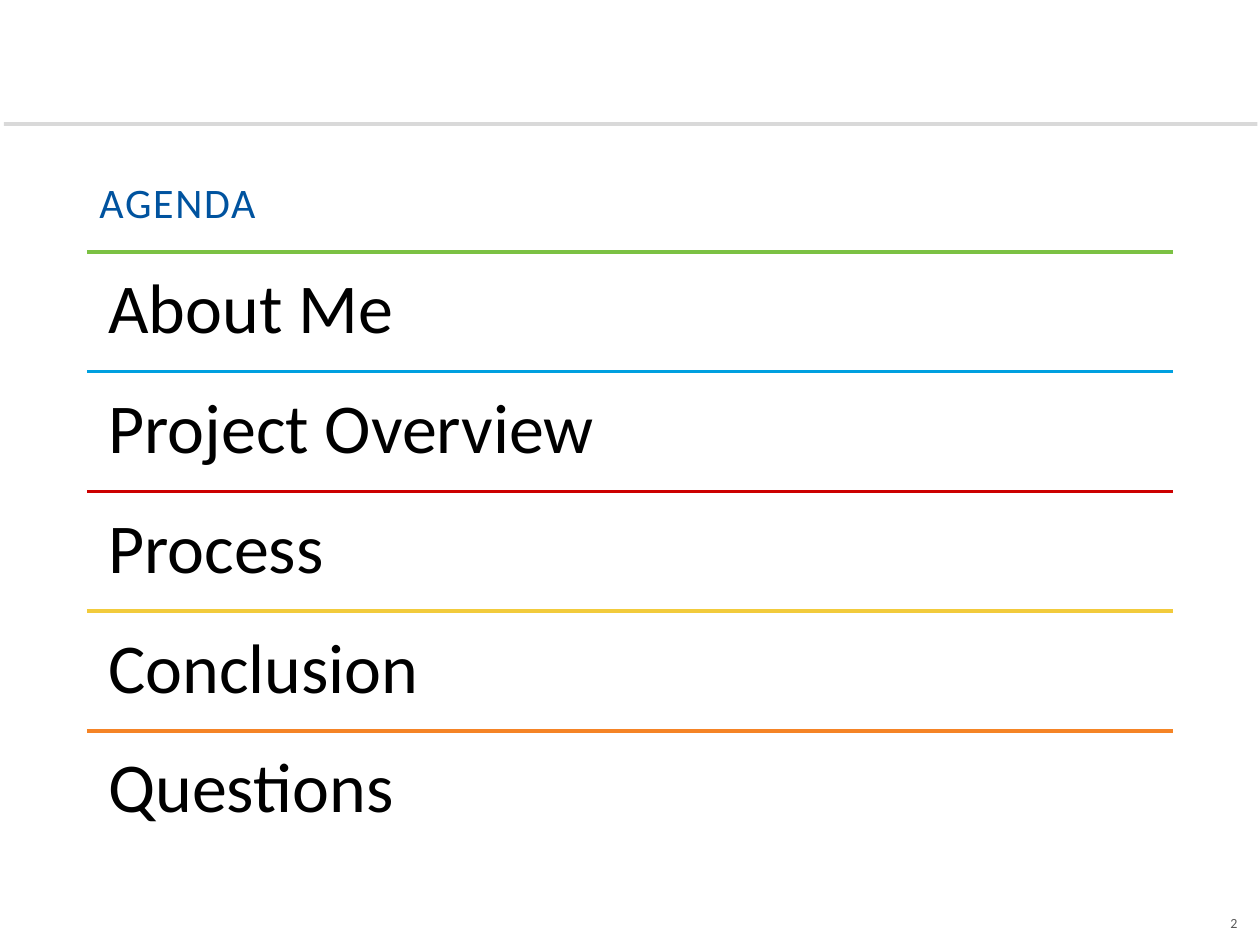
from dataclasses import dataclass

from lxml.etree import SubElement
from pptx import Presentation
from pptx.dml.color import RGBColor
from pptx.enum.shapes import MSO_CONNECTOR, MSO_SHAPE
from pptx.enum.text import MSO_ANCHOR, PP_ALIGN
from pptx.oxml.ns import qn
from pptx.slide import Slide
from pptx.text.text import _Paragraph
from pptx.util import Inches, Pt

BLACK = RGBColor(0x00, 0x00, 0x00)
DARK_BLUE = RGBColor(0x00, 0x53, 0x9F)
DARK_GRAY = RGBColor(0x59, 0x59, 0x59)
LIGHT_GRAY = RGBColor(0xD9, 0xD9, 0xD9)
GREEN = RGBColor(0x7B, 0xC1, 0x43)
SKY_BLUE = RGBColor(0x00, 0xA0, 0xE0)
RED = RGBColor(0xCC, 0x00, 0x00)
YELLOW = RGBColor(0xF2, 0xCB, 0x3C)
ORANGE = RGBColor(0xF5, 0x84, 0x26)

LEFT, WIDTH = 0.69, 8.62
AGENDA_TOP, ROW_HEIGHT = 2.0, 0.95


@dataclass(frozen=True)
class AgendaItem:
    text: str
    color: RGBColor


@dataclass(frozen=True)
class Box:
    left: float
    top: float
    width: float
    height: float


AGENDA = [
    AgendaItem("About Me", GREEN),
    AgendaItem("Project Overview", SKY_BLUE),
    AgendaItem("Process", RED),
    AgendaItem("Conclusion", YELLOW),
    AgendaItem("Questions", ORANGE),
]


def add_text(slide: Slide, box: Box, text: str, size: int, color: RGBColor,
             frame_format: dict, paragraph_format: dict) -> _Paragraph:
    shape = slide.shapes.add_textbox(
        Inches(box.left), Inches(box.top), Inches(box.width), Inches(box.height))
    frame = shape.text_frame
    for name, value in {"word_wrap": True, **frame_format}.items():
        setattr(frame, name, value)
    paragraph = frame.paragraphs[0]
    for name, value in paragraph_format.items():
        setattr(paragraph, name, value)
    run = paragraph.add_run()
    run.text = text
    for name, value in {"name": "Calibri", "size": Pt(size)}.items():
        setattr(run.font, name, value)
    run.font.color.rgb = color
    return paragraph


def add_divider(slide: Slide, top: float, color: RGBColor) -> None:
    line = slide.shapes.add_connector(
        MSO_CONNECTOR.STRAIGHT, Inches(LEFT), Inches(top),
        Inches(LEFT + WIDTH), Inches(top))
    line.line.color.rgb = color
    line.line.width = Pt(2)
    SubElement(line._element.spPr, qn("a:effectLst"))


def add_header_rule(slide: Slide) -> None:
    rule = slide.shapes.add_shape(
        MSO_SHAPE.RECTANGLE, Inches(0.03), Inches(0.97), Inches(9.95), Inches(0.03))
    rule.shadow.inherit = False
    rule.fill.solid()
    rule.fill.fore_color.rgb = LIGHT_GRAY
    rule.line.fill.background()


def add_agenda(slide: Slide) -> None:
    margins = {f"margin_{side}": Inches(0.17)
               for side in ("left", "top", "right", "bottom")}
    for index, item in enumerate(AGENDA):
        top = AGENDA_TOP + index * ROW_HEIGHT
        add_divider(slide, top, item.color)
        add_text(slide, Box(LEFT, top, WIDTH, ROW_HEIGHT), item.text, 40, BLACK,
                 margins, {"line_spacing": 0.9})


def main() -> None:
    presentation = Presentation()
    presentation.slide_width = Inches(10)
    presentation.slide_height = Inches(7.5)
    slide = presentation.slides.add_slide(presentation.slide_layouts[6])

    add_header_rule(slide)
    add_text(slide, Box(7.84, 7.21, 2.08, 0.29), "2", 8, DARK_GRAY,
             {}, {"alignment": PP_ALIGN.RIGHT})
    title = add_text(slide, Box(LEFT, 0.4, WIDTH, 1.45), "AGENDA", 24, DARK_BLUE,
                     {"vertical_anchor": MSO_ANCHOR.BOTTOM}, {})
    title.runs[0]._r.get_or_add_rPr().set("spc", "100")
    add_agenda(slide)

    presentation.save("out.pptx")


if __name__ == "__main__":
    main()
